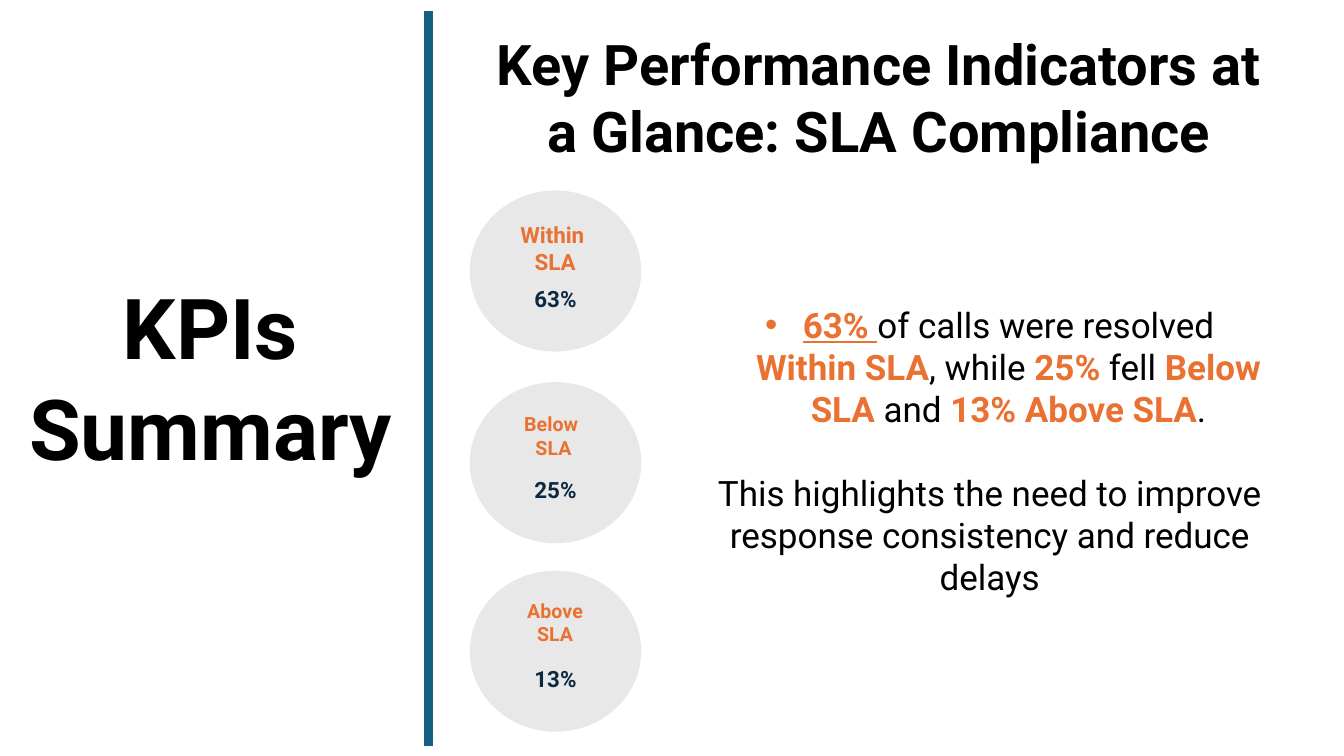
from dataclasses import dataclass

from lxml import etree
from pptx import Presentation
from pptx.dml.color import RGBColor
from pptx.enum.shapes import MSO_CONNECTOR, MSO_SHAPE
from pptx.enum.text import MSO_ANCHOR, PP_ALIGN
from pptx.oxml.ns import qn
from pptx.slide import Slide
from pptx.text.text import TextFrame, _Paragraph
from pptx.util import Cm, Pt

CENTER = PP_ALIGN.CENTER
MIDDLE = MSO_ANCHOR.MIDDLE
OVAL = MSO_SHAPE.OVAL
STRAIGHT = MSO_CONNECTOR.STRAIGHT

FONT = "Roboto"
BLACK = "000000"
ORANGE = "E97132"
NAVY = "0E2841"
TEAL = "156082"
LIGHT_GRAY = "E8E8E8"

CIRCLE_LEFT, CIRCLE_WIDTH, CIRCLE_HEIGHT = 11.84, 4.32, 4.06
LABEL_WIDTH, LABEL_HEIGHT = 3.3, 1.5
BODY_SIZE = 25


@dataclass(frozen=True)
class Indicator:
    label: tuple[str, str]
    value: str
    circle_top: float
    label_left: float
    label_top: float
    label_size: int


INDICATORS = (
    Indicator(("Within ", "SLA"), "63%", 4.8, 12.34, 5.46, 16),
    Indicator(("Below", " SLA"), "25%", 9.63, 12.24, 10.26, 14),
    Indicator(("Above", "SLA"), "13%", 14.38, 12.34, 14.96, 14),
)

FINDING = (
    ("of calls were resolved ", False),
    ("Within SLA", True),
    (", while ", False),
    ("25%", True),
    (" fell ", False),
    ("Below SLA", True),
    (" and ", False),
    ("13% Above SLA", True),
    (".", False),
)


def color(value: str) -> RGBColor:
    return RGBColor.from_string(value)


def add_text(paragraph: _Paragraph, text: str, *, size: float, fill: str = BLACK,
             bold: bool = False, underline: bool = False) -> None:
    paragraph.alignment = CENTER
    run = paragraph.add_run()
    run.text = text
    run.font.name = FONT
    run.font.size = Pt(size)
    run.font.bold = bold
    run.font.underline = underline
    run.font.color.rgb = color(fill)


def add_text_box(slide: Slide, left: float, top: float, width: float,
                 height: float) -> TextFrame:
    frame = slide.shapes.add_textbox(Cm(left), Cm(top), Cm(width), Cm(height)).text_frame
    frame.word_wrap = True
    return frame


def add_bullet(paragraph: _Paragraph, indent: float) -> None:
    properties = paragraph._p.get_or_add_pPr()
    properties.set("marL", str(Cm(indent)))
    properties.set("indent", str(-Cm(indent)))
    etree.SubElement(properties, qn("a:buFont")).set("typeface", "Arial")
    etree.SubElement(properties, qn("a:buChar")).set("char", "•")


def add_divider(slide: Slide) -> None:
    divider = slide.shapes.add_connector(STRAIGHT, Cm(10.8), Cm(0.28), Cm(10.8), Cm(18.8))
    divider.line.color.rgb = color(TEAL)
    divider.line.width = Pt(6)
    etree.SubElement(divider._element.spPr, qn("a:effectLst"))


def add_indicator(slide: Slide, indicator: Indicator) -> None:
    circle = slide.shapes.add_shape(OVAL, Cm(CIRCLE_LEFT), Cm(indicator.circle_top),
                                    Cm(CIRCLE_WIDTH), Cm(CIRCLE_HEIGHT))
    circle.shadow.inherit = False
    circle.fill.solid()
    circle.fill.fore_color.rgb = color(LIGHT_GRAY)
    circle.line.fill.background()
    frame = circle.text_frame
    frame.vertical_anchor = MIDDLE
    frame.margin_top = Cm(1.5)
    add_text(frame.paragraphs[0], indicator.value, size=16, fill=NAVY, bold=True)

    label = add_text_box(slide, indicator.label_left, indicator.label_top,
                         LABEL_WIDTH, LABEL_HEIGHT)
    for paragraph, line in zip((label.paragraphs[0], label.add_paragraph()), indicator.label):
        add_text(paragraph, line, size=indicator.label_size, fill=ORANGE, bold=True)


def add_commentary(slide: Slide) -> None:
    frame = add_text_box(slide, 17.7, 7.52, 14.48, 7.75)
    finding = frame.paragraphs[0]
    add_bullet(finding, 0.95)
    add_text(finding, "63% ", size=BODY_SIZE, fill=ORANGE, bold=True, underline=True)
    for text, highlighted in FINDING:
        add_text(finding, text, size=BODY_SIZE, bold=highlighted,
                 fill=ORANGE if highlighted else BLACK)
    conclusion = frame.add_paragraph()
    conclusion.space_before = Pt(30)
    add_text(conclusion, "This highlights the need to improve response consistency "
             "and reduce delays", size=BODY_SIZE)


def main() -> None:
    presentation = Presentation()
    presentation.slide_width = Cm(33.87)
    presentation.slide_height = Cm(19.05)
    slide = presentation.slides.add_slide(presentation.slide_layouts[6])

    section = add_text_box(slide, 0.3, 6.83, 10.01, 5.38)
    add_text(section.paragraphs[0], "KPIs Summary", size=60, bold=True)
    add_divider(slide)
    title = add_text_box(slide, 11.91, 0.61, 20.47, 3.68)
    add_text(title.paragraphs[0], "Key Performance Indicators at a Glance: SLA Compliance",
             size=40, bold=True)
    for indicator in INDICATORS:
        add_indicator(slide, indicator)
    add_commentary(slide)

    presentation.save("out.pptx")


if __name__ == "__main__":
    main()
